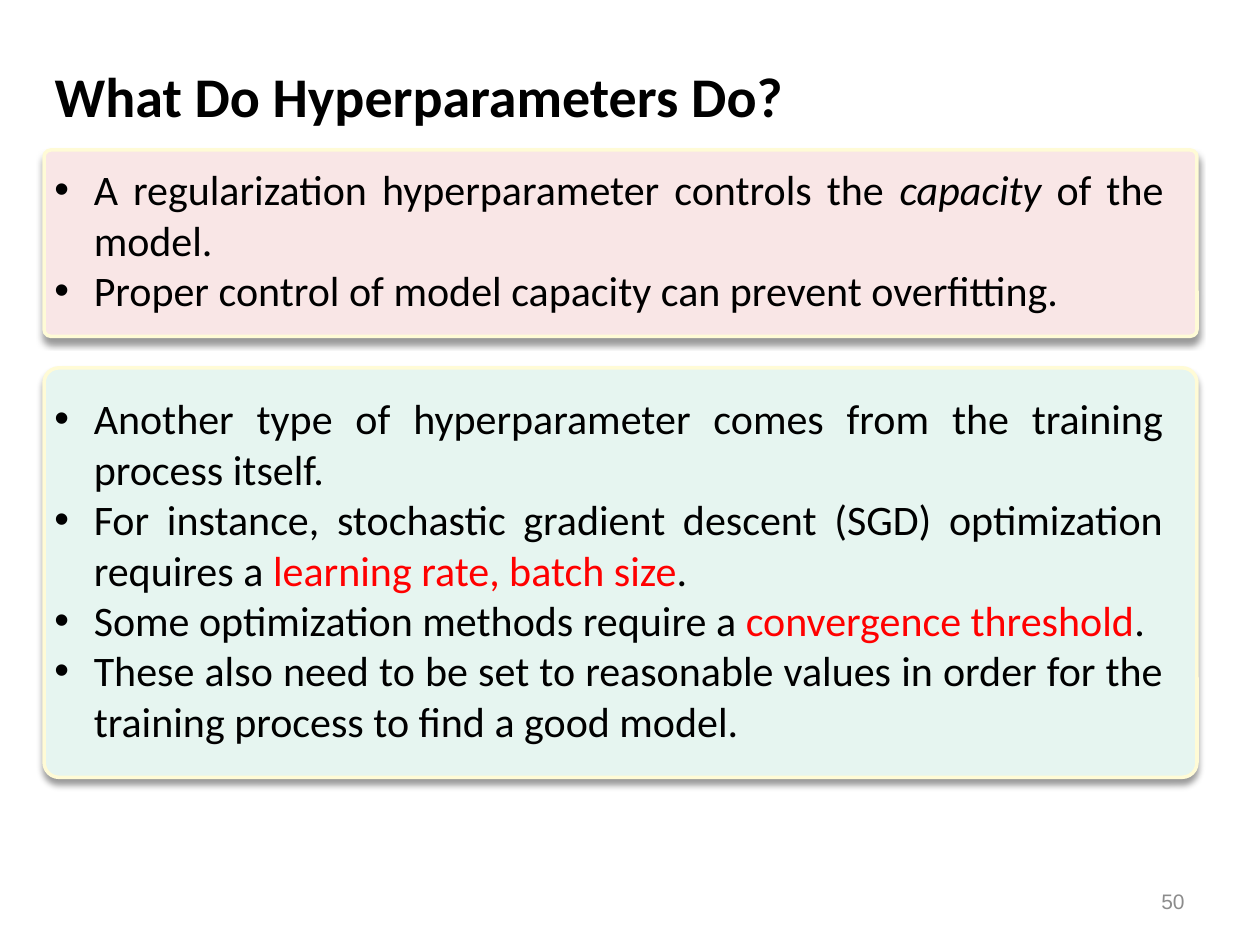
from lxml import etree
from pptx import Presentation
from pptx.dml.color import RGBColor
from pptx.enum.shapes import MSO_SHAPE
from pptx.enum.text import MSO_ANCHOR, PP_ALIGN
from pptx.oxml.ns import qn
from pptx.util import Pt

ROUND = MSO_SHAPE.ROUNDED_RECTANGLE
TOP, MIDDLE = MSO_ANCHOR.TOP, MSO_ANCHOR.MIDDLE
LEFT, RIGHT, FULL = PP_ALIGN.LEFT, PP_ALIGN.RIGHT, PP_ALIGN.JUSTIFY

COLORS = {"ink": "000000", "red": "FF0000", "gray": "8C8C8C",
          "rose": "F9E6E6", "mint": "E6F5F0", "cream": "FFFBD6"}
INDENT = 22.5

PANELS = [
    ("rose", 85.7, 106.5, 90, 124, [
        [("A regularization hyperparameter controls the ", ""),
         ("capacity", "italic"), (" of the model.", "")],
        [("Proper control of model capacity can prevent overfitting.", "")],
    ]),
    ("mint", 210.2, 234, 221, 211, [
        [("Another type of hyperparameter comes from the training process itself.", "")],
        [("For instance, stochastic gradient descent (SGD) optimization requires a ", ""),
         ("learning rate, batch size", "red"), (".", "")],
        [("Some optimization methods require a ", ""),
         ("convergence threshold", "red"), (".", "")],
        [("These also need to be set to reasonable values in order for the "
          "training process to find a good model.", "")],
    ]),
]


def style(font, name, size, color):
    font.name = name
    font.size = Pt(size)
    font.color.rgb = RGBColor.from_string(COLORS[color])


def cast(shape):
    shape.shadow.inherit = False
    effects = shape._element.spPr.find(qn("a:effectLst"))
    outer = etree.SubElement(effects, qn("a:outerShdw"), blurRad=str(Pt(4)),
                             dist=str(Pt(3)), dir="5400000", rotWithShape="0")
    black = etree.SubElement(outer, qn("a:srgbClr"), val=COLORS["ink"])
    etree.SubElement(black, qn("a:alpha"), val="40000")


deck = Presentation()
deck.slide_width, deck.slide_height = Pt(720), Pt(540)
slide = deck.slides.add_slide(deck.slide_layouts[5])

title = slide.shapes.title
title.left, title.top, title.width, title.height = Pt(24), Pt(12.2), Pt(434), Pt(60)
frame = title.text_frame
frame.text = "What Do Hyperparameters Do?"
frame.word_wrap = False
frame.vertical_anchor = TOP
head = frame.paragraphs[0]
head.alignment = LEFT
head.line_spacing = 1.5
style(head.runs[0].font, "Calibri", 32, "ink")
head.runs[0].font.bold = True

for fill, top, height, start, depth, items in PANELS:
    panel = slide.shapes.add_shape(ROUND, Pt(25.2), Pt(top), Pt(658.8), Pt(height))
    panel.adjustments[0] = 0.036
    panel.fill.solid()
    panel.fill.fore_color.rgb = RGBColor.from_string(COLORS[fill])
    panel.line.color.rgb = RGBColor.from_string(COLORS["cream"])
    panel.line.width = Pt(2)
    cast(panel)

    box = slide.shapes.add_textbox(Pt(24), Pt(start), Pt(648), Pt(depth))
    frame = box.text_frame
    frame.word_wrap = True
    for i, item in enumerate(items):
        para = frame.add_paragraph() if i else frame.paragraphs[0]
        para.alignment = FULL
        props = para._p.get_or_add_pPr()
        props.set("marL", str(Pt(INDENT)))
        props.set("indent", str(Pt(-INDENT)))
        etree.SubElement(props, qn("a:buFont"), typeface="Arial")
        etree.SubElement(props, qn("a:buChar"), char="•")
        for text, mark in item:
            run = para.add_run()
            run.text = text
            style(run.font, "Calibri", 24, "red" if mark == "red" else "ink")
            run.font.italic = mark == "italic"

box = slide.shapes.add_textbox(Pt(516), Pt(500.5), Pt(168), Pt(28.8))
frame = box.text_frame
frame.word_wrap = True
frame.vertical_anchor = MIDDLE
frame.text = "50"
frame.paragraphs[0].alignment = RIGHT
style(frame.paragraphs[0].runs[0].font, "Arial", 12, "gray")

deck.save("out.pptx")
